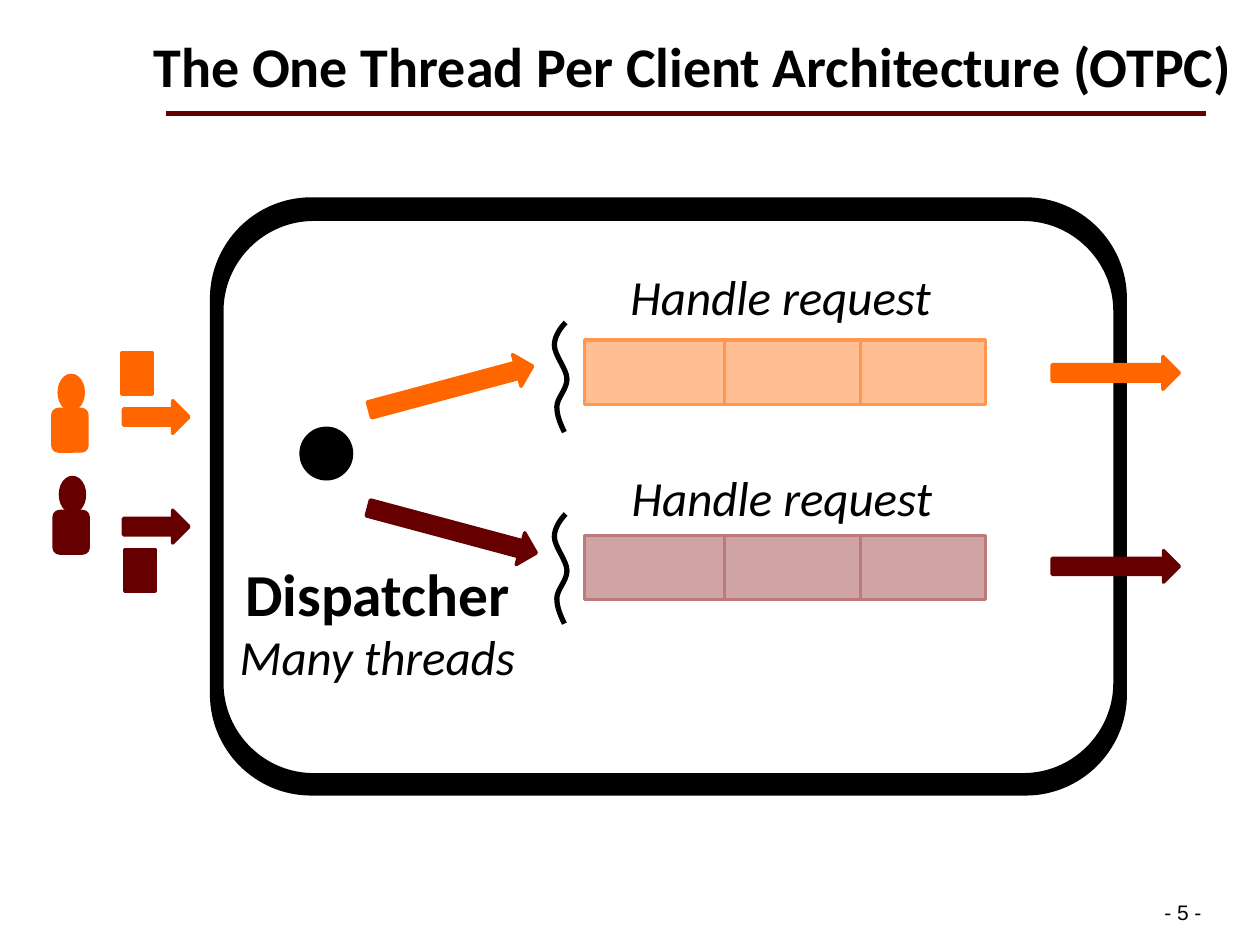
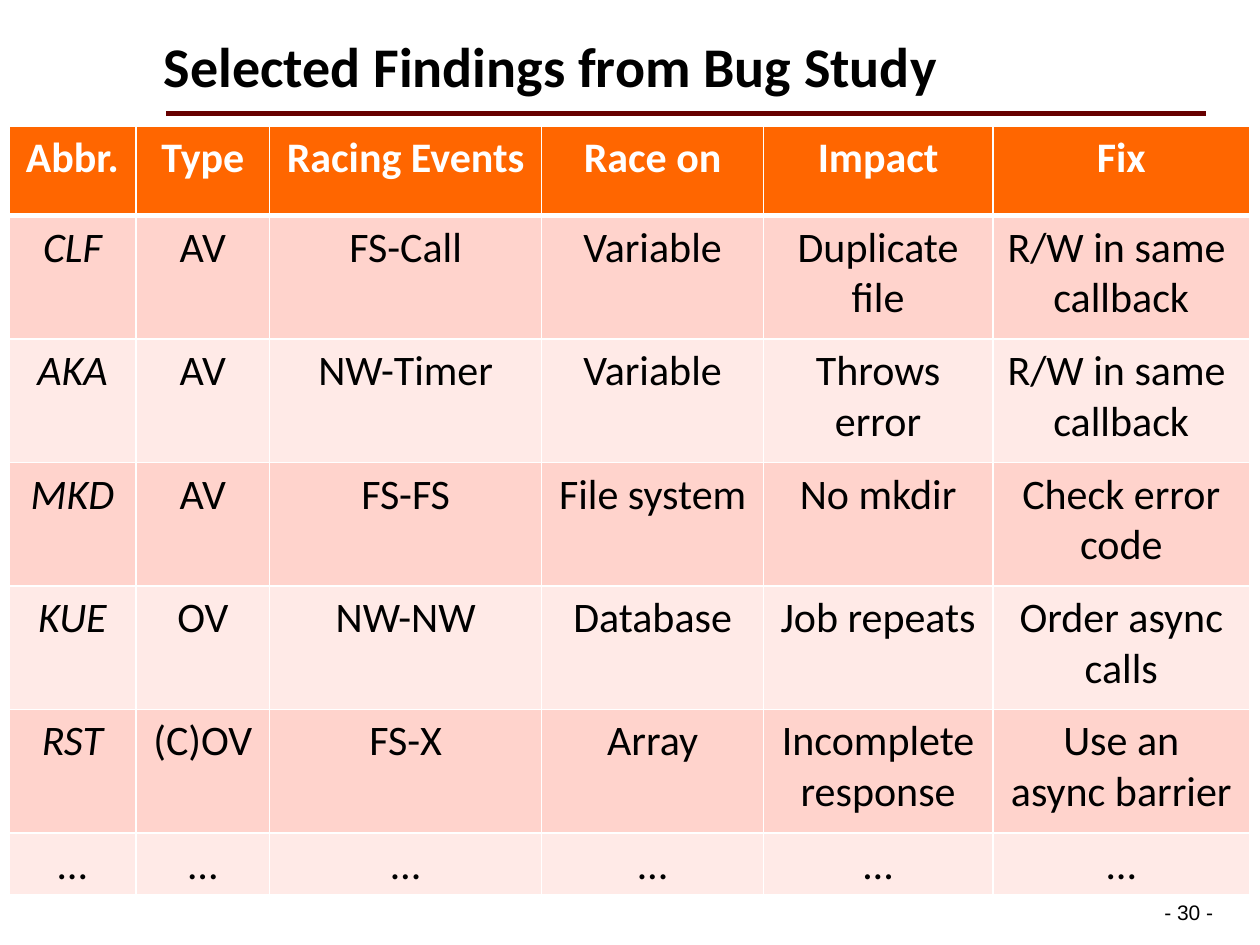
from lxml import etree
from pptx import Presentation
from pptx.dml.color import RGBColor
from pptx.enum.shapes import MSO_CONNECTOR, MSO_SHAPE
from pptx.enum.text import MSO_ANCHOR, MSO_AUTO_SIZE, PP_ALIGN
from pptx.oxml.ns import qn
from pptx.util import Inches, Pt

ARROW = MSO_SHAPE.RIGHT_ARROW
OVAL = MSO_SHAPE.OVAL
RECT = MSO_SHAPE.RECTANGLE
ROUND = MSO_SHAPE.ROUNDED_RECTANGLE
STRAIGHT = MSO_CONNECTOR.STRAIGHT
LEFT, CENTER = PP_ALIGN.LEFT, PP_ALIGN.CENTER
BOTTOM = MSO_ANCHOR.BOTTOM
NO_FIT = MSO_AUTO_SIZE.NONE

COLORS = {
    "black": "000000", "white": "FFFFFF", "orange": "FF6600", "maroon": "660000",
    "peach": "FFBF92", "peach edge": "FF9750", "rose": "D0A4A4", "rose edge": "BB7B7B",
    "band": "FFD3CC", "pale": "FFEAE7",
}

HEADS = ["Abbr.", "Type", "Racing Events", "Race on", "Impact", "Fix"]
BUGS = [
    ["CLF", "AV", "FS-Call", "Variable", "Duplicate\nfile", "R/W in same \ncallback"],
    ["AKA", "AV", "NW-Timer", "Variable", "Throws\nerror", "R/W in same \ncallback"],
    ["MKD", "AV", "FS-FS", "File system", "No mkdir", "Check error\ncode"],
    ["KUE", "OV", "NW-NW", "Database", "Job repeats", "Order async\ncalls"],
    ["RST", "(C)OV", "FS-X", "Array", "Incomplete\nresponse", "Use an\nasync barrier"],
    ["…"] * 6,
]
WIDTHS = [1.01, 1.06, 2.16, 1.76, 1.82, 2.04]
HEIGHTS = [0.71] + [0.98] * 5 + [0.49]

WAVE = [
    (0.09, 0), (0.05, 0.04), (0, 0.11), (0, 0.18), (0, 0.26), (0.1, 0.37), (0.1, 0.45),
    (0.1, 0.53), (0.02, 0.6), (0.02, 0.67), (0.02, 0.74), (0.05, 0.81), (0.08, 0.87),
]


def color(name):
    return RGBColor.from_string(COLORS[name])


def style(para, size, align=CENTER, shade="black", bold=False, italic=False,
          font="Calibri", lines=0.8):
    para.alignment = align
    para.line_spacing = lines
    for run in para.runs:
        face = run.font
        face.name, face.size = font, Pt(size)
        face.bold, face.italic = bold, italic
        face.color.rgb = color(shade)


def label(slide, box, text):
    shape = slide.shapes.add_textbox(*map(Inches, box))
    frame = shape.text_frame
    frame.word_wrap = True
    frame.text = text
    return frame


def paint(shape, fill, edge=None, width=2):
    shape.shadow.inherit = False
    if fill:
        shape.fill.solid()
        shape.fill.fore_color.rgb = color(fill)
    else:
        shape.fill.background()
    shape.line.color.rgb = color(edge or fill)
    shape.line.width = Pt(width)


def block(slide, kind, box, fill, edge=None, turn=0):
    shape = slide.shapes.add_shape(kind, *map(Inches, box))
    paint(shape, fill, edge)
    shape.rotation = turn


def emus(points):
    return [(Inches(x), Inches(y)) for x, y in points]


def bend(shape, kinds):
    lines = iter(list(shape._element.iter(qn("a:lnTo"))))
    for kind in kinds:
        line = next(lines)
        if kind == "C":
            line.tag = qn("a:cubicBezTo")
            for extra in (next(lines), next(lines)):
                line.append(extra[0])
                extra.getparent().remove(extra)


def loop(left, top, right, bottom, radius):
    corners = [
        ((left, top), (left + radius, top), (left, top + radius)),
        ((left, bottom), (left, bottom - radius), (left + radius, bottom)),
        ((right, bottom), (right - radius, bottom), (right, bottom - radius)),
        ((right, top), (right, top + radius), (right - radius, top)),
    ]
    points = []
    for corner, start, end in corners:
        pull = [tuple(p + 0.55 * (q - p) for p, q in zip(tip, corner))
                for tip in (start, end)]
        points += [start, *pull, end]
    return points


def server(slide):
    inner = emus(loop(1.76, 1.74, 8.85, 6.15, 0.73))
    outer = emus(loop(1.68, 1.58, 8.93, 6.3, 0.79)[::-1])
    build = slide.shapes.build_freeform(*inner[0])
    build.add_line_segments(inner[1:])
    build.move_to(*outer[0])
    build.add_line_segments(outer[1:])
    shape = build.convert_to_shape()
    bend(shape, "CLCLCLC" * 2)
    paint(shape, "black")


def thread(slide, left, top):
    points = emus((left + x, top + y) for x, y in WAVE)
    build = slide.shapes.build_freeform(*points[0])
    build.add_line_segments(points[1:], close=False)
    shape = build.convert_to_shape()
    bend(shape, "CCCC")
    paint(shape, None, "black", 3)


def client(slide, left, top, shade):
    block(slide, OVAL, (left + 0.05, top, 0.19, 0.27), shade)
    block(slide, ROUND, (left, top + 0.27, 0.27, 0.33), shade)


def lane(slide, top, fill, edge):
    left = 4.64
    for width in (1.11, 1.08, 0.99):
        block(slide, RECT, (left, top, width, 0.51), fill, edge)
        left += width


def caption(slide, left, top):
    frame = label(slide, (left, top, 3.41, 0.49), "Handle request")
    style(frame.paragraphs[0], 28, italic=True)


def begin(deck, title, number, box, align):
    slide = deck.slides.add_slide(deck.slide_layouts[5])
    head = slide.shapes.title
    head.left, head.top, head.width, head.height = map(Inches, box)
    frame = head.text_frame
    frame.text = title
    frame.auto_size = NO_FIT
    frame.vertical_anchor = BOTTOM
    style(frame.paragraphs[0], 32, align, bold=True, lines=0.9)

    rule = slide.shapes.add_connector(
        STRAIGHT, Inches(1.32), Inches(0.9), Inches(9.57), Inches(0.9))
    rule.line.color.rgb = color("maroon")
    rule.line.width = Pt(3)
    etree.SubElement(rule._element.spPr, qn("a:effectLst"))

    page = label(slide, (9.19, 7.12, 0.52, 0.24), f"- {number} -")
    page.word_wrap = False
    page.margin_left = page.margin_right = Inches(0.05)
    page.margin_top = page.margin_bottom = Inches(0.02)
    style(page.paragraphs[0], 12, LEFT, font="Arial", lines=1.0)
    return slide


def border(cell, widths):
    props = cell._tc.get_or_add_tcPr()
    for place, (side, width) in enumerate(zip("LRTB", widths)):
        line = etree.Element(qn(f"a:ln{side}"), w=str(Pt(width)))
        fill = etree.SubElement(line, qn("a:solidFill"))
        etree.SubElement(fill, qn("a:srgbClr"), val=COLORS["white"])
        props.insert(place, line)


def fill_cell(cell, text, row, col):
    head = row == 0
    cell.fill.solid()
    cell.fill.fore_color.rgb = color("orange" if head else "band" if row % 2 else "pale")
    border(cell, (1, 1, 3 if row == 1 else 1, 3 if head else 1))
    cell.margin_top = Inches(0.11)
    cell.text = text
    for index, para in enumerate(cell.text_frame.paragraphs):
        style(para, 24, shade="white" if head else "black", bold=head,
              italic=col == 0 and 0 < row < len(BUGS))
        if index:
            para.space_before = Pt(5.6)


def bug_table(slide):
    box = (0.07, 1, sum(WIDTHS), sum(HEIGHTS))
    shape = slide.shapes.add_table(len(HEIGHTS), len(WIDTHS), *map(Inches, box))
    table = shape.table
    table.horz_banding = False
    for column, width in zip(table.columns, WIDTHS):
        column.width = Inches(width)
    for line, height in zip(table.rows, HEIGHTS):
        line.height = Inches(height)
    for row, texts in enumerate([HEADS] + BUGS):
        for col, text in enumerate(texts):
            fill_cell(table.cell(row, col), text, row, col)


def draw_threads(deck):
    slide = begin(deck, "The One Thread Per Client Architecture (OTPC)", 5,
                  (0.91, 0.14, 9.18, 0.7), CENTER)
    server(slide)
    block(slide, OVAL, (2.39, 3.4, 0.4, 0.4), "black")
    frame = label(slide, (1.29, 4.48, 3.41, 1.03), "Dispatcher\nMany threads")
    first, second = frame.paragraphs
    style(first, 34, bold=True)
    style(second, 28, italic=True)
    second.space_before = Pt(5.6)

    block(slide, ARROW, (2.91, 2.95, 1.34, 0.26), "orange", turn=345)
    block(slide, ARROW, (2.9, 4.08, 1.38, 0.26), "maroon", turn=15)
    for top in (2.56, 4.08):
        thread(slide, 4.4, top)
    block(slide, ARROW, (8.35, 2.83, 1.01, 0.26), "orange")
    block(slide, ARROW, (8.35, 4.37, 1.01, 0.25), "maroon")
    for top, shade in ((3.18, "orange"), (4.05, "maroon")):
        block(slide, ARROW, (0.98, top, 0.52, 0.26), shade)
    client(slide, 0.42, 2.98, "orange")
    client(slide, 0.43, 3.79, "maroon")

    lane(slide, 2.7, "peach", "peach edge")
    lane(slide, 4.25, "rose", "rose edge")
    caption(slide, 4.49, 2.16)
    caption(slide, 4.5, 3.75)
    block(slide, RECT, (0.97, 2.8, 0.24, 0.33), "orange")
    block(slide, RECT, (0.99, 4.36, 0.24, 0.33), "maroon")


def draw_bugs(deck):
    slide = begin(deck, "Selected Findings from Bug Study", 30,
                  (1.2, 0.14, 8.8, 0.7), LEFT)
    bug_table(slide)


def main():
    deck = Presentation()
    deck.slide_width, deck.slide_height = Inches(10), Inches(7.5)
    draw_threads(deck)
    draw_bugs(deck)
    deck.save("out.pptx")


if __name__ == "__main__":
    main()
